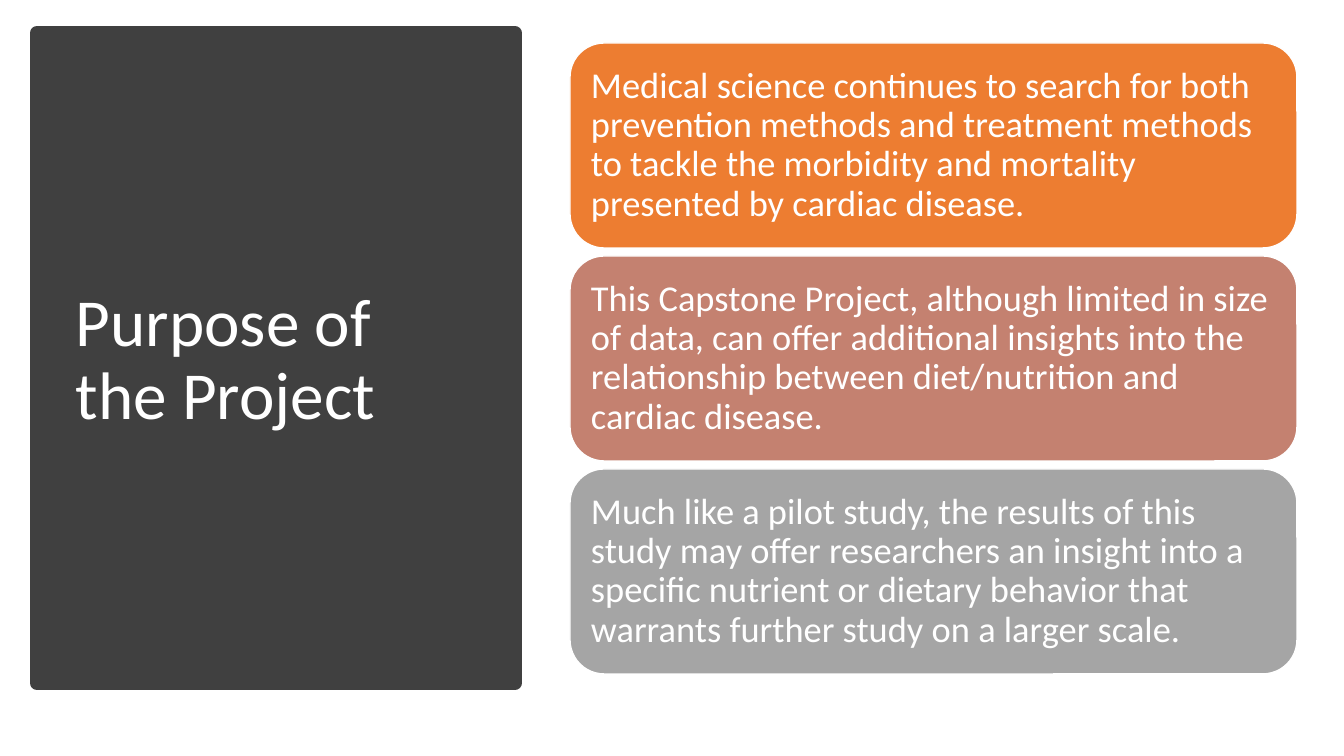
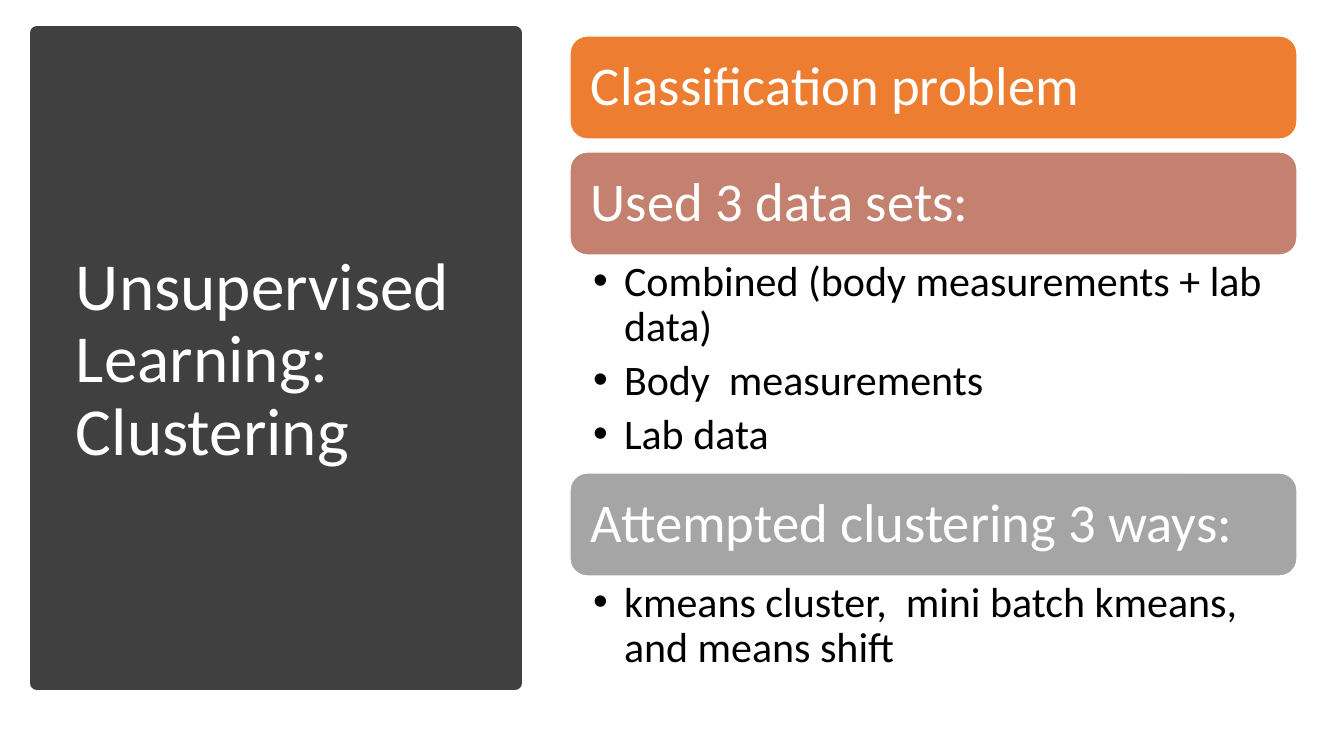
from pptx import Presentation
from pptx.dml.color import RGBColor
from pptx.enum.shapes import MSO_SHAPE
from pptx.enum.text import MSO_ANCHOR, PP_ALIGN
from pptx.util import Pt
from lxml.etree import SubElement
from pptx.oxml.ns import qn

PX = 914400 / 100.8
FONT = "Calibri"
COLORS = {"band": "404040", "orange": "ED7D31", "rose": "C48170",
          "gray": "A5A5A5", "white": "FFFFFF", "black": "000000"}
CARD_COLORS = ["orange", "rose", "gray"]
CARD_LEFT, CARD_WIDTH = 570, 727

# Each card: text, its bullets, height of the bullet area
SLIDES = [
    {"title": ["Purpose of the Project"],
     "top": 43, "height": 205, "gap": 8, "inset": 11, "size": 26,
     "cards": [
         ("Medical science continues to search for both prevention methods and treatment "
          "methods to tackle the morbidity and mortality presented by cardiac disease.", [], 0),
         ("This Capstone Project, although limited in size of data, can offer additional "
          "insights into the relationship between diet/nutrition and cardiac disease.", [], 0),
         ("Much like a pilot study, the results of this study may offer researchers an "
          "insight into a specific nutrient or dietary behavior that warrants further "
          "study on a larger scale.", [], 0)]},
    {"title": ["Unsupervised Learning: ", "Clustering"],
     "top": 36, "height": 103, "gap": 13, "inset": 16, "size": 39,
     "cards": [
         ("Classification problem", [], 0),
         ("Used 3 data sets:",
          ["Combined (body measurements + lab data)", "Body  measurements", "Lab data"], 218),
         ("Attempted clustering 3 ways:",
          ["kmeans cluster,  mini batch kmeans, and means shift"], 105)]},
]


def px(*lengths):
    return [round(length * PX) for length in lengths]


def write(shape, paragraphs, size, color, insets, anchor=MSO_ANCHOR.MIDDLE, bullets=False):
    """Fill a shape with paragraphs, each a list of lines."""
    frame = shape.text_frame
    frame.word_wrap = True
    frame.vertical_anchor = anchor
    (frame.margin_left, frame.margin_top,
     frame.margin_right, frame.margin_bottom) = px(*insets)
    for number, lines in enumerate(paragraphs):
        paragraph = frame.paragraphs[0] if number == 0 else frame.add_paragraph()
        paragraph.alignment = PP_ALIGN.LEFT
        paragraph.line_spacing = 0.9
        if bullets:
            paragraph.space_after = Pt(size * 0.2)
            properties = paragraph._p.get_or_add_pPr()
            indent = px(31)[0]
            properties.set("marL", str(indent))
            properties.set("indent", str(-indent))
            SubElement(properties, qn("a:buFont"), typeface="Arial")
            SubElement(properties, qn("a:buChar"), char="•")
        for line_number, line in enumerate(lines):
            if line_number:
                paragraph.add_line_break()
            run = paragraph.add_run()
            run.text = line
            run.font.name = FONT
            run.font.size = Pt(size)
            run.font.color.rgb = RGBColor.from_string(COLORS[color])


prs = Presentation()
prs.slide_width, prs.slide_height = px(1344, 756)

for content in SLIDES:
    slide = prs.slides.add_slide(prs.slide_layouts[6])

    # Dark band with the title
    band = slide.shapes.add_shape(MSO_SHAPE.RECTANGLE, *px(37, 33, 478, 650))
    band.shadow.inherit = False
    band.fill.solid()
    band.fill.fore_color.rgb = RGBColor.from_string(COLORS["band"])
    band.line.color.rgb = RGBColor.from_string(COLORS["band"])
    band.line.width = Pt(10)
    title = slide.shapes.add_textbox(*px(66, 71, 419, 580))
    write(title, [content["title"]], 48, "white", (10, 5, 10, 5))

    # Stack of cards, each followed by its bullets or a gap
    top, height, inset = content["top"], content["height"], content["inset"]
    for color, (heading, points, points_height) in zip(CARD_COLORS, content["cards"]):
        card = slide.shapes.add_shape(MSO_SHAPE.ROUNDED_RECTANGLE,
                                      *px(CARD_LEFT, top, CARD_WIDTH, height))
        card.shadow.inherit = False
        card.fill.solid()
        card.fill.fore_color.rgb = RGBColor.from_string(COLORS[color])
        card.line.color.rgb = RGBColor.from_string(COLORS["white"])
        card.line.width = Pt(1)
        write(card, [[heading]], content["size"], "white", [inset] * 4)
        top += height
        if points:
            details = slide.shapes.add_textbox(*px(CARD_LEFT, top, CARD_WIDTH, points_height))
            write(details, [[point] for point in points], 30, "black", (23, 5, 30, 5),
                  MSO_ANCHOR.TOP, bullets=True)
            top += points_height
        else:
            top += content["gap"]

prs.save("out.pptx")
